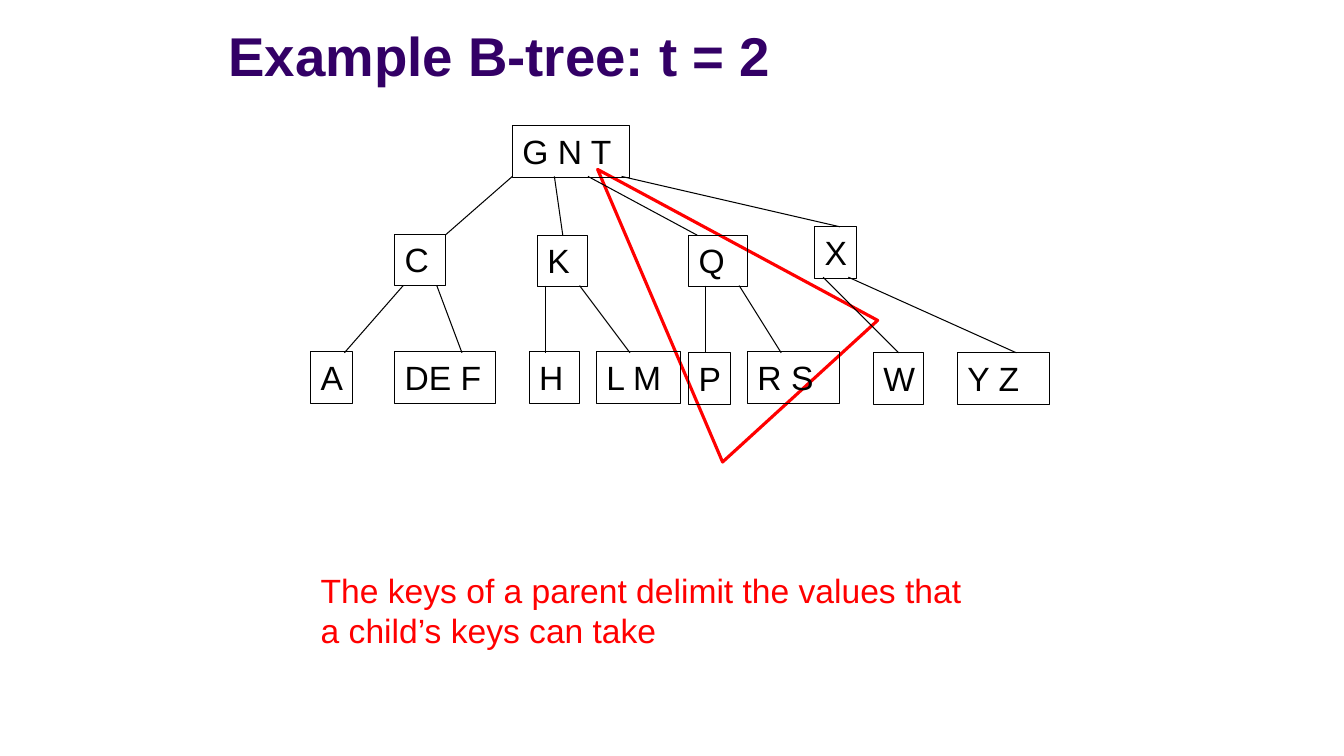
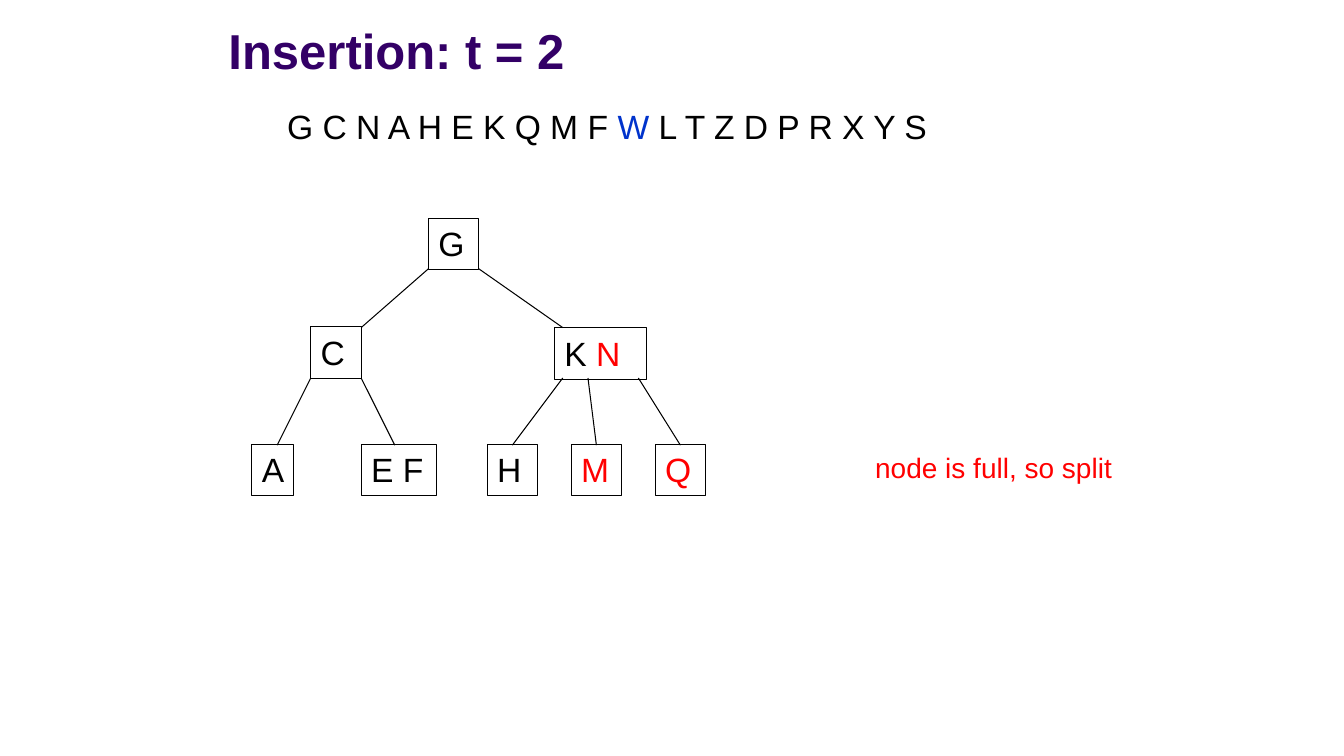
from lxml import etree
from pptx import Presentation
from pptx.dml.color import RGBColor
from pptx.enum.shapes import MSO_CONNECTOR, MSO_SHAPE
from pptx.enum.text import MSO_ANCHOR, MSO_AUTO_SIZE, PP_ALIGN
from pptx.oxml.ns import qn
from pptx.util import Cm, Pt

STRAIGHT = MSO_CONNECTOR.STRAIGHT
RECTANGLE = MSO_SHAPE.RECTANGLE
TRIANGLE = MSO_SHAPE.ISOSCELES_TRIANGLE
TOP, MIDDLE, BOTTOM = MSO_ANCHOR.TOP, MSO_ANCHOR.MIDDLE, MSO_ANCHOR.BOTTOM
LEFT = PP_ALIGN.LEFT
FIXED = MSO_AUTO_SIZE.NONE

FONT = "Arial"
COLORS = {"title": "330066", "ink": "000000", "accent": "FF0000", "current": "0033CC"}
KEY_SIZE = 24
NODE_HEIGHT = 6.15
TITLE_LEFT, TITLE_TOP, TITLE_WIDTH = 26, 1.6, 99


def grid(steps):
    """Length of a number of grid steps, 12 steps to 2.54 cm."""
    return Cm(steps * 2.54 / 12)


def color(name):
    return RGBColor.from_string(COLORS[name])


def write(shape, runs, size, anchor=TOP, bold=False):
    """Fill a shape with one left-aligned paragraph of (text, colour) runs."""
    frame = shape.text_frame
    frame_format = {"word_wrap": True, "auto_size": FIXED, "vertical_anchor": anchor}
    for attribute, value in frame_format.items():
        setattr(frame, attribute, value)
    paragraph = frame.paragraphs[0]
    paragraph.alignment = LEFT
    for text, color_name in runs:
        run = paragraph.add_run()
        run.text = text
        font_format = {"name": FONT, "size": Pt(size), "bold": bold}
        for attribute, value in font_format.items():
            setattr(run.font, attribute, value)
        run.font.color.rgb = color(color_name)


def add_titled_slide(deck, title, size, height):
    slide = deck.slides.add_slide(deck.slide_layouts[5])
    heading = slide.shapes.title
    box = {"left": TITLE_LEFT, "top": TITLE_TOP, "width": TITLE_WIDTH, "height": height}
    for attribute, steps in box.items():
        setattr(heading, attribute, grid(steps))
    write(heading, [(title, "title")], size, BOTTOM, bold=True)
    return slide


def add_text(slide, box, runs, size, anchor=TOP):
    write(slide.shapes.add_textbox(*map(grid, box)), runs, size, anchor)


def add_outline(slide, preset, box, color_name, weight):
    """Add an unfilled preset shape."""
    shape = slide.shapes.add_shape(preset, *map(grid, box))
    shape.shadow.inherit = False
    shape.fill.background()
    shape.line.color.rgb = color(color_name)
    shape.line.width = Pt(weight)
    return shape


def add_nodes(slide, top, nodes):
    """Add a row of tree nodes given as (left, width, runs)."""
    for left, width, runs in nodes:
        node = add_outline(slide, RECTANGLE, (left, top, width, NODE_HEIGHT), "ink", 0.75)
        write(node, runs, KEY_SIZE)


def add_edges(slide, parent_y, child_y, spans):
    """Join two tree levels by lines given as (parent x, child x)."""
    for parent_x, child_x in spans:
        ends = map(grid, (parent_x, parent_y, child_x, child_y))
        edge = slide.shapes.add_connector(STRAIGHT, *ends)
        edge.line.color.rgb = color("ink")
        edge.line.width = Pt(0.75)
        etree.SubElement(edge._element.spPr, qn("a:effectLst"))


def keys(text, color_name="ink"):
    return [(text, color_name)]


def build_example(deck):
    slide = add_titled_slide(deck, "Example B-tree: t = 2", 39, 9.4)
    rule = "The keys of a parent delimit the values that a child’s keys can take"
    add_text(slide, (37, 67.2, 80, 10.9), keys(rule, "accent"), 24)
    subtree = add_outline(slide, TRIANGLE, (70.7, 15.5, 25, 35.75), "accent", 2.25)
    subtree.rotation = 317.6

    add_nodes(slide, 15, [(61, 14, keys("G N T"))])
    add_nodes(slide, 27.9, [(47, 6, keys("C"))])
    add_nodes(slide, 28, [(64, 6, keys("K")), (82, 7, keys("Q"))])
    add_nodes(slide, 27, [(97, 5, keys("X"))])
    add_nodes(slide, 41.9, [
        (37, 5, keys("A")), (47, 12, keys("DE F")), (63, 6, keys("H")),
        (71, 10, keys("L M")), (89, 11, keys("R S")),
    ])
    add_nodes(slide, 42, [
        (82, 5, keys("P")), (104, 6, keys("W")), (114, 11, keys("Y Z")),
    ])

    add_edges(slide, 21, 28, [(61, 53), (66, 67), (70, 83)])
    add_edges(slide, 21, 27, [(74, 100)])
    add_edges(slide, 34, 42, [(48, 41), (52, 55), (65, 65), (69, 75), (84, 84), (88, 93)])
    add_edges(slide, 33, 42, [(98, 107), (101, 121)])


def build_insertion(deck):
    slide = add_titled_slide(deck, "Insertion: t = 2", 35, 8.4)
    sequence = [
        ("G C N A H E K Q M F ", "ink"), ("W", "current"), (" L T Z D P R X Y S", "ink"),
    ]
    add_text(slide, (33, 12, 80.5, 6), sequence, 24, MIDDLE)
    add_text(slide, (103, 53, 34, 5.2), keys("node is full, so split", "accent"), 20)

    add_nodes(slide, 26, [(51, 6, keys("G"))])
    add_nodes(slide, 38.9, [(37, 6, keys("C"))])
    add_nodes(slide, 39, [(66, 11, [("K ", "ink"), ("N", "accent")])])
    add_nodes(slide, 52.9, [
        (30, 5, keys("A")), (43, 9, keys("E F")), (58, 6, keys("H")),
        (68, 6, keys("M", "accent")), (78, 6, keys("Q", "accent")),
    ])

    add_edges(slide, 32, 39, [(51, 43), (57, 67)])
    add_edges(slide, 45, 53, [(37, 33), (43, 47), (67, 61), (70, 71), (76, 81)])


def main():
    deck = Presentation()
    deck.slide_width, deck.slide_height = grid(160), grid(90)
    build_example(deck)
    build_insertion(deck)
    deck.save("out.pptx")


if __name__ == "__main__":
    main()
